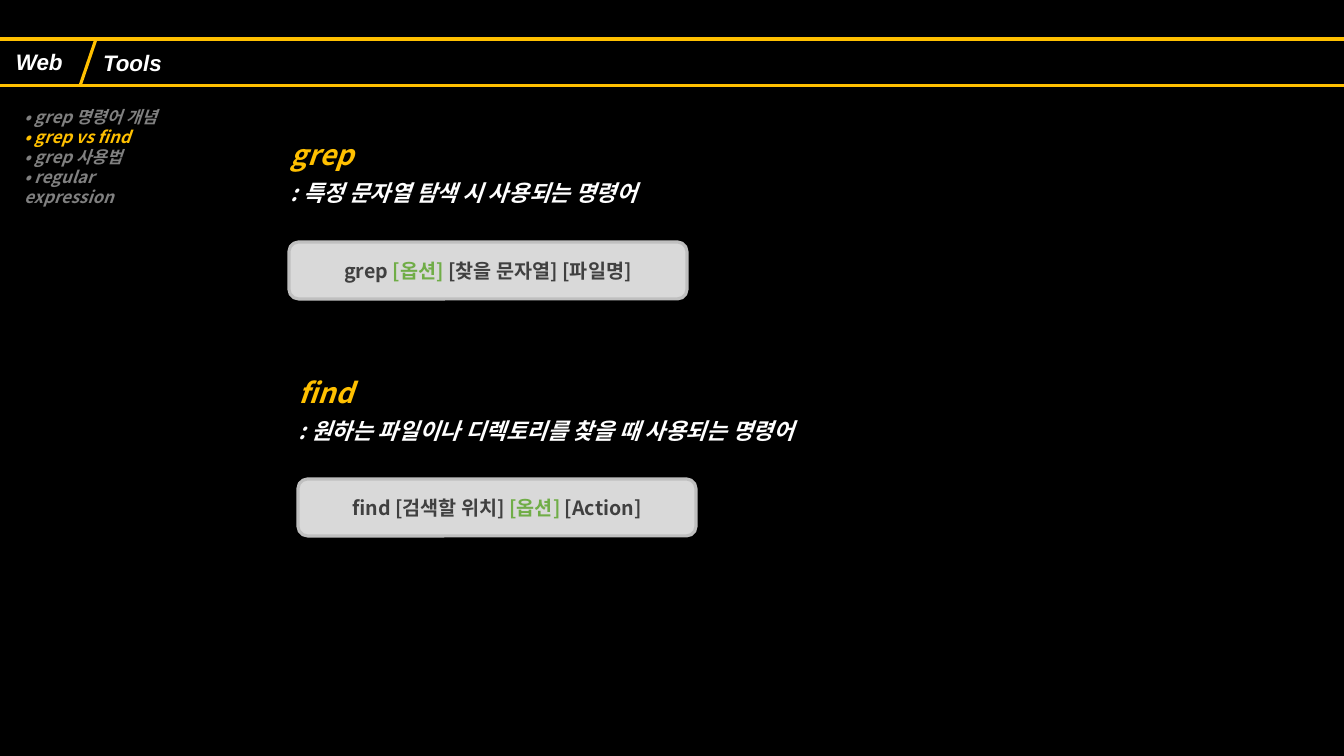
from dataclasses import dataclass

import lxml.etree
import pptx
import pptx.dml.color
import pptx.enum.shapes
import pptx.enum.text
import pptx.oxml.ns
import pptx.util

EMU_PER_PX = 914400 / 100.8
LATIN = "Arial"
KOREAN = "Noto Sans CJK KR"
LINE_PITCH = 1.19
COLORS = {
    "black": "000000",
    "white": "FFFFFF",
    "gold": "FFC000",
    "gray": "808080",
    "panel": "D9D9D9",
    "border": "BFBFBF",
    "code": "404040",
    "option": "70AD47",
}
SHAPES = pptx.enum.shapes.MSO_SHAPE
ALIGN = pptx.enum.text.PP_ALIGN
ANCHOR = pptx.enum.text.MSO_ANCHOR


@dataclass(frozen=True)
class Area:
    left: int
    top: int
    width: int
    height: int


@dataclass(frozen=True)
class Span:
    text: str
    color: str


@dataclass(frozen=True)
class Line:
    spans: tuple[Span, ...]
    size: int
    space_before: int = 0


@dataclass(frozen=True)
class Command:
    name: str
    meaning: str
    syntax: tuple[Span, ...]
    text_area: Area
    code_area: Area


COMMANDS = (
    Command(
        "grep",
        ": 특정 문자열 탐색 시 사용되는 명령어",
        (Span("grep ", "code"), Span("[옵션] ", "option"),
         Span("[찾을 문자열] [파일명]", "code")),
        Area(281, 133, 413, 80),
        Area(289, 242, 398, 57),
    ),
    Command(
        "find",
        ": 원하는 파일이나 디렉토리를 찾을 때 사용되는 명령어",
        (Span("find [검색할 위치] ", "code"), Span("[옵션] ", "option"),
         Span("[Action]", "code")),
        Area(289, 371, 580, 80),
        Area(298, 479, 398, 57),
    ),
)
TOPICS = (
    Span("• grep 명령어 개념", "gray"),
    Span("• grep vs find", "gold"),
    Span("• grep 사용법", "gray"),
    Span("• regular expression", "gray"),
)


def px(length: int) -> pptx.util.Emu:
    return pptx.util.Emu(round(length * EMU_PER_PX))


def rgb(name: str) -> pptx.dml.color.RGBColor:
    return pptx.dml.color.RGBColor.from_string(COLORS[name])


def bounds(area: Area) -> tuple[pptx.util.Emu, ...]:
    return px(area.left), px(area.top), px(area.width), px(area.height)


def place(page, box, area: Area) -> None:
    box.left, box.top, box.width, box.height = bounds(area)
    page.shapes._spTree.append(box._element)


def add_panel(page, kind, area: Area, fill: str, border: str, weight: float):
    panel = page.shapes.add_shape(kind, *bounds(area))
    panel.shadow.inherit = False
    panel.fill.solid()
    panel.fill.fore_color.rgb = rgb(fill)
    panel.line.color.rgb = rgb(border)
    panel.line.width = pptx.util.Pt(weight)
    return panel


def add_divider(page) -> None:
    divider = page.shapes.add_connector(
        pptx.enum.shapes.MSO_CONNECTOR.STRAIGHT, px(96), px(39), px(80), px(86))
    divider.line.color.rgb = rgb("gold")
    divider.line.width = pptx.util.Pt(2.25)
    lxml.etree.SubElement(divider._element.spPr, pptx.oxml.ns.qn("a:effectLst"))


def write(box, lines: tuple[Line, ...], font: str, *, italic: bool = True,
          wrap: bool = True, centered: bool = False, fixed: bool = False) -> None:
    frame = box.text_frame
    frame.word_wrap = wrap
    frame.auto_size = pptx.enum.text.MSO_AUTO_SIZE.NONE
    frame.vertical_anchor = ANCHOR.MIDDLE if centered else ANCHOR.TOP
    for index, line in enumerate(lines):
        para = frame.paragraphs[0] if index == 0 else frame.add_paragraph()
        para.alignment = ALIGN.CENTER if centered else ALIGN.LEFT
        para.space_before = pptx.util.Pt(line.space_before)
        if fixed:
            para.line_spacing = pptx.util.Pt(round(line.size * LINE_PITCH, 1))
        for span in line.spans:
            run = para.add_run()
            run.text = span.text
            run.font.name = font
            run.font.size = pptx.util.Pt(line.size)
            run.font.bold = True
            run.font.italic = italic
            run.font.color.rgb = rgb(span.color)
            east_asian = lxml.etree.SubElement(
                run._r.get_or_add_rPr(), pptx.oxml.ns.qn("a:ea"))
            east_asian.set("typeface", font)


def remove_list_style(box) -> None:
    for para in box.text_frame.paragraphs:
        properties = para._p.get_or_add_pPr()
        properties.set("marL", "0")
        properties.set("indent", "0")
        lxml.etree.SubElement(properties, pptx.oxml.ns.qn("a:buNone"))


def add_header(page) -> None:
    add_panel(page, SHAPES.RECTANGLE, Area(0, 0, 1344, 756), "black", "black", 1)
    add_panel(page, SHAPES.RECTANGLE, Area(-15, 39, 1369, 47), "black", "gold", 2.25)
    section = page.shapes.add_textbox(*bounds(Area(6, 43, 68, 37)))
    write(section, (Line((Span("Web", "white"),), 16),), LATIN, wrap=False)
    add_divider(page)
    title = page.shapes.title
    place(page, title, Area(93, 44, 81, 37))
    write(title, (Line((Span("Tools", "white"),), 16),), LATIN, wrap=False)


def add_topics(page) -> None:
    topics = page.placeholders[1]
    place(page, topics, Area(14, 102, 182, 92))
    write(topics, tuple(Line((topic,), 12) for topic in TOPICS), KOREAN, fixed=True)
    remove_list_style(topics)


def add_command(page, command: Command) -> None:
    code = add_panel(page, SHAPES.ROUNDED_RECTANGLE, command.code_area,
                     "panel", "border", 2.25)
    write(code, (Line(command.syntax, 14),), KOREAN, italic=False, centered=True)
    box = page.shapes.add_textbox(*bounds(command.text_area))
    lines = (
        Line((Span(command.name, "gold"),), 20),
        Line((Span(command.meaning, "white"),), 16, space_before=6),
    )
    write(box, lines, KOREAN, fixed=True)


def main() -> None:
    deck = pptx.Presentation()
    deck.slide_width, deck.slide_height = px(1344), px(756)
    page = deck.slides.add_slide(deck.slide_layouts[1])
    add_header(page)
    add_topics(page)
    for command in COMMANDS:
        add_command(page, command)
    deck.save("out.pptx")


if __name__ == "__main__":
    main()
